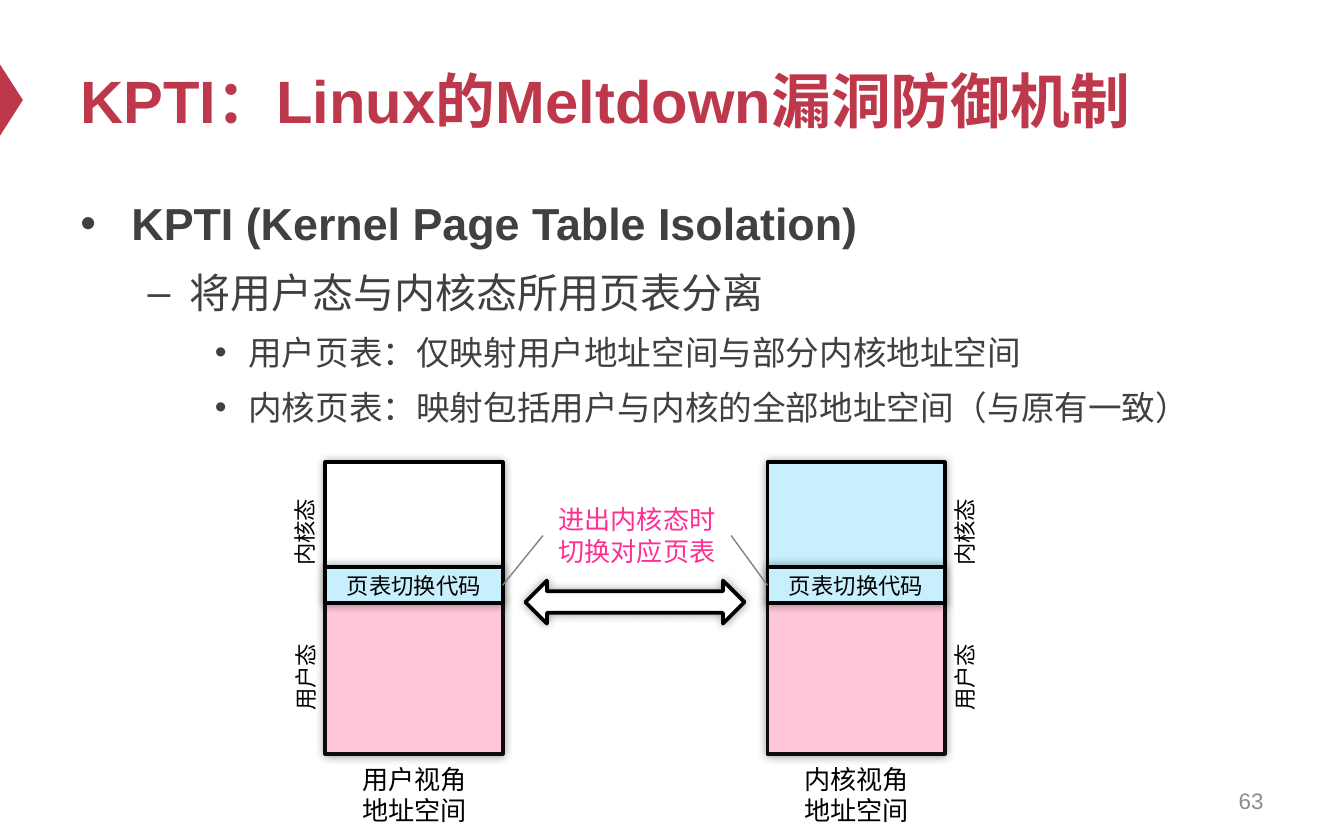
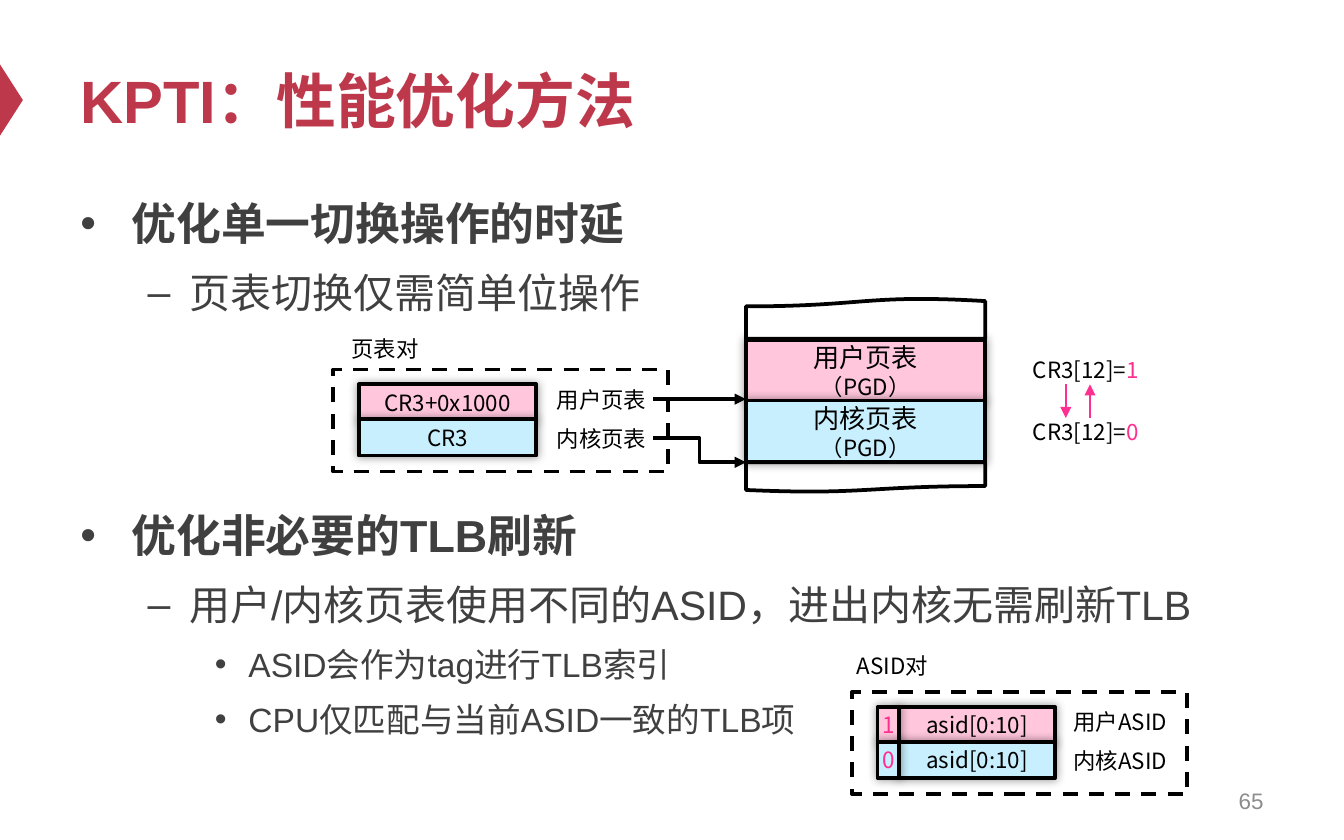
from lxml.etree import SubElement
from pptx import Presentation
from pptx.dml.color import RGBColor
from pptx.enum.dml import MSO_LINE
from pptx.enum.shapes import MSO_CONNECTOR, MSO_SHAPE
from pptx.enum.text import MSO_ANCHOR, PP_ALIGN
from pptx.oxml.ns import qn
from pptx.util import Emu, Pt

PX = 9144
RED = RGBColor(0xBE, 0x38, 0x4B)
DARK = RGBColor(0x40, 0x40, 0x40)
GRAY = RGBColor(0x80, 0x80, 0x80)
PAGE_GRAY = RGBColor(0x8C, 0x8C, 0x8C)
BLACK = RGBColor(0x00, 0x00, 0x00)
NEAR_BLACK = RGBColor(0x0D, 0x0D, 0x0D)
WHITE = RGBColor(0xFF, 0xFF, 0xFF)
PINK = RGBColor(0xFF, 0xC6, 0xDC)
BLUE = RGBColor(0xC8, 0xEF, 0xFD)
MAGENTA = RGBColor(0xFF, 0x2F, 0x92)
ARIAL = "Arial"
CJK = "Noto Sans CJK SC"

LEVELS = [
    dict(size=24, left=38, hang=38, bullet="•"),
    dict(size=22, left=81, hang=31, bullet="–"),
    dict(size=18, left=125, hang=25, bullet="•"),
]


def px(*values):
    return [Emu(v * PX) for v in values]


def style_run(r, size, color, font=CJK, bold=False):
    r.font.size = Pt(size)
    r.font.bold = bold
    r.font.color.rgb = color
    r.font.name = font
    SubElement(r.font._element, qn("a:ea"), typeface=CJK)


def write(sp, text, size=12, color=BLACK, font=CJK, bold=False,
          align=PP_ALIGN.CENTER, anchor=MSO_ANCHOR.MIDDLE, margin=0):
    tf = sp.text_frame
    tf.text = text
    tf.word_wrap = True
    tf.vertical_anchor = anchor
    tf.margin_left, tf.margin_right, tf.margin_top, tf.margin_bottom = px(margin, margin, 5, 5)
    for p in tf.paragraphs:
        p.alignment = align
        for r in p.runs:
            style_run(r, size, color, font, bold)


def add_label(s, x, y, w, h, text, rotation=0, **style):
    sp = s.shapes.add_textbox(*px(x, y, w, h))
    sp.rotation = rotation
    write(sp, text, **style)
    return sp


def add_box(s, x, y, w, h, fill, text="", kind=MSO_SHAPE.RECTANGLE,
            line=BLACK, shadow=True, **style):
    sp = s.shapes.add_shape(kind, *px(x, y, w, h))
    sp.fill.solid()
    sp.fill.fore_color.rgb = fill
    sp.line.color.rgb = line
    sp.line.width = Pt(2)
    sp.shadow.inherit = False
    if shadow:
        effects = sp._element.spPr.find(qn("a:effectLst"))
        outer = SubElement(effects, qn("a:outerShdw"), blurRad=str(Pt(5)),
                           dist="0", dir="0", algn="ctr", rotWithShape="0")
        color = SubElement(outer, qn("a:srgbClr"), val="000000")
        SubElement(color, qn("a:alpha"), val="40000")
    if text:
        write(sp, text, **style)
    return sp


def add_line(s, x1, y1, x2, y2, color=BLACK, width=2, arrow=True,
             kind=MSO_CONNECTOR.STRAIGHT, begin=None, end=None):
    c = s.shapes.add_connector(kind, *px(x1, y1, x2, y2))
    if begin:
        c.begin_connect(*begin)
    if end:
        c.end_connect(*end)
    c.line.color.rgb = color
    c.line.width = Pt(width)
    spPr = c._element.spPr
    if arrow:
        SubElement(spPr.find(qn("a:ln")), qn("a:tailEnd"), type="triangle")
    SubElement(spPr, qn("a:effectLst"))


def add_bullets(s, y, h, items):
    sp = s.shapes.add_textbox(*px(50, y, 900, h))
    tf = sp.text_frame
    tf.word_wrap = True
    for i, (level, text) in enumerate(items):
        look = LEVELS[level]
        p = tf.add_paragraph() if i else tf.paragraphs[0]
        p.text = text
        p.level = level
        pPr = p._p.get_or_add_pPr()
        pPr.set("marL", str(look["left"] * PX))
        pPr.set("indent", str(-look["hang"] * PX))
        if i:
            before = SubElement(pPr, qn("a:spcBef"))
            SubElement(before, qn("a:spcPct"), val="20000")
        SubElement(pPr, qn("a:buFont"), typeface=ARIAL)
        SubElement(pPr, qn("a:buChar"), char=look["bullet"])
        p.line_spacing = 1.2
        style_run(p.runs[0], look["size"], DARK, ARIAL, level == 0)


def new_slide(prs, title, number):
    s = prs.slides.add_slide(prs.slide_layouts[6])
    marker = add_box(s, -18, 66, 53, 17, RED, kind=MSO_SHAPE.ISOSCELES_TRIANGLE, shadow=False)
    marker.line.fill.background()
    marker.rotation = 90
    add_label(s, 50, 25, 900, 98, title, size=32, color=RED, font=ARIAL,
              bold=True, align=PP_ALIGN.LEFT, margin=10)
    add_label(s, 717, 579, 233, 33, number, color=PAGE_GRAY, font=ARIAL,
              align=PP_ALIGN.RIGHT, margin=10)
    return s


def add_address_space(s, x, kernel_fill, caption, side_x):
    add_box(s, x, 344, 132, 104, kernel_fill)
    add_box(s, x, 449, 132, 112, PINK, line=NEAR_BLACK)
    code = add_box(s, x, 422, 132, 27, BLUE, "页表切换代码")
    add_label(s, side_x - 52, 381, 104, 30, "内核态", rotation=270)
    add_label(s, side_x - 56, 489, 112, 30, "用户态", rotation=270)
    add_label(s, x - 50, 563, 233, 57, caption, size=14, anchor=MSO_ANCHOR.TOP)
    return code


def add_pair(s, x, y, title, title_y, title_w, rows):
    frame = add_box(s, x, y, 249, 76, WHITE, shadow=False)
    frame.line.dash_style = MSO_LINE.DASH
    add_label(s, x, title_y, title_w, 30, title)
    labels = []
    for i, (fill, bit, value, name) in enumerate(rows):
        row_y = y + 11 + 26 * i
        bit_w = 16 if bit else 0
        add_box(s, x + 19 + bit_w, row_y, 132 - bit_w, 27, fill, value)
        if bit:
            add_box(s, x + 19, row_y, bit_w, 27, fill, bit, color=MAGENTA)
        labels.append(add_label(s, x + 161, y + 7 + 29 * i, 77, 30, name))
    return labels


def add_page_table(s, y, fill, name):
    sp = add_box(s, 555, y, 178, 46, fill, name + "\n（PGD）", size=14)
    sp.text_frame.paragraphs[1].runs[0].font.size = Pt(12)


def add_bit_state(s, y, bit):
    sp = add_label(s, 760, y, 96, 30, "CR3[12]=")
    r = sp.text_frame.paragraphs[0].add_run()
    r.text = bit
    style_run(r, 12, MAGENTA)


def build_mechanism(prs):
    s = new_slide(prs, "KPTI：Linux的Meltdown漏洞防御机制", "63")
    add_bullets(s, 133, 467, [
        (0, "KPTI (Kernel Page Table Isolation)"),
        (1, "将用户态与内核态所用页表分离"),
        (2, "用户页表：仅映射用户地址空间与部分内核地址空间"),
        (2, "内核页表：映射包括用户与内核的全部地址空间（与原有一致）"),
    ])
    user_code = add_address_space(s, 242, WHITE, "用户视角\n地址空间", 227)
    kernel_code = add_address_space(s, 571, BLUE, "内核视角\n地址空间", 718)
    note = add_label(s, 404, 370, 140, 57, "进出内核态时\n切换对应页表",
                     size=14, color=MAGENTA, anchor=MSO_ANCHOR.TOP)
    add_box(s, 391, 432, 163, 32, WHITE, kind=MSO_SHAPE.LEFT_RIGHT_ARROW)
    add_line(s, 404, 399, 374, 435, GRAY, 0.75, arrow=False,
             begin=(note, 1), end=(user_code, 3))
    add_line(s, 544, 399, 571, 435, GRAY, 0.75, arrow=False,
             begin=(note, 3), end=(kernel_code, 1))


def build_optimization(prs):
    s = new_slide(prs, "KPTI：性能优化方法", "65")
    add_bullets(s, 133, 234, [
        (0, "优化单一切换操作的时延"),
        (1, "页表切换仅需简单位操作"),
    ])
    user_label, kernel_label = add_pair(s, 248, 275, "页表对", 244, 77, [
        (PINK, "", "CR3+0x1000", "用户页表"),
        (BLUE, "", "CR3", "内核页表"),
    ])
    add_page_table(s, 253, PINK, "用户页表")
    document = MSO_SHAPE.FLOWCHART_DOCUMENT
    add_box(s, 555, 344, 178, 22, WHITE, kind=document, shadow=False)
    top = add_box(s, 555, 222, 178, 30, WHITE, kind=document, shadow=False)
    top.rotation = 180
    add_page_table(s, 298, BLUE, "内核页表")
    add_line(s, 486, 326, 555, 344, kind=MSO_CONNECTOR.ELBOW, begin=(kernel_label, 3))
    add_line(s, 486, 297, 555, 297, begin=(user_label, 3))

    add_bullets(s, 365, 223, [
        (0, "优化非必要的TLB刷新"),
        (1, "用户/内核页表使用不同的ASID，进出内核无需刷新TLB"),
        (2, "ASID会作为tag进行TLB索引"),
        (2, "CPU仅匹配与当前ASID一致的TLB项"),
    ])
    add_pair(s, 634, 515, "ASID对", 480, 60, [
        (PINK, "1", "asid[0:10]", "用户ASID"),
        (BLUE, "0", "asid[0:10]", "内核ASID"),
    ])
    add_bit_state(s, 260, "1")
    add_bit_state(s, 306, "0")
    add_line(s, 793, 286, 793, 311, MAGENTA, 1.25)
    add_line(s, 811, 311, 811, 286, MAGENTA, 1.25)


def main():
    prs = Presentation()
    prs.slide_width, prs.slide_height = px(1000, 625)
    build_mechanism(prs)
    build_optimization(prs)
    prs.save("out.pptx")


if __name__ == "__main__":
    main()
